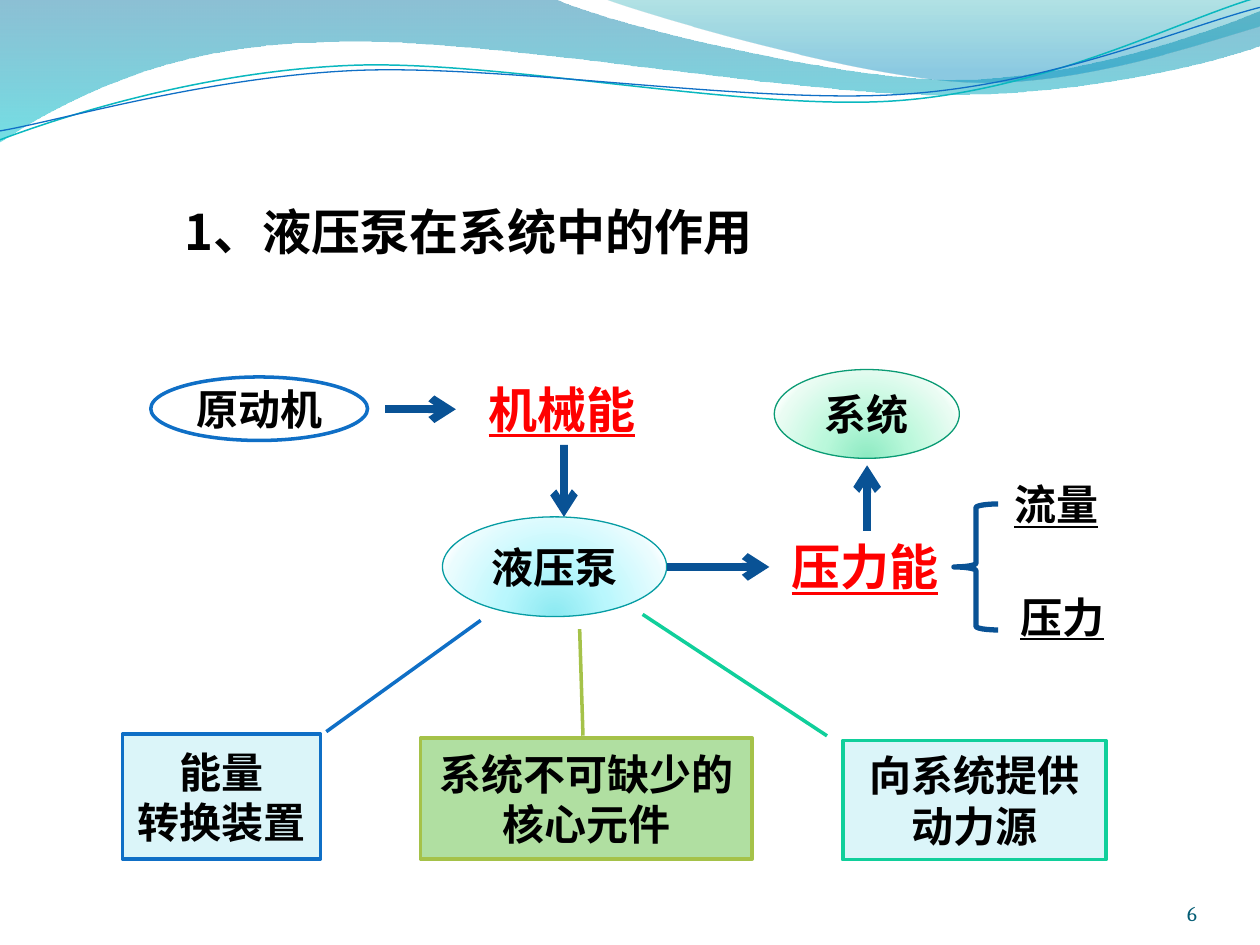
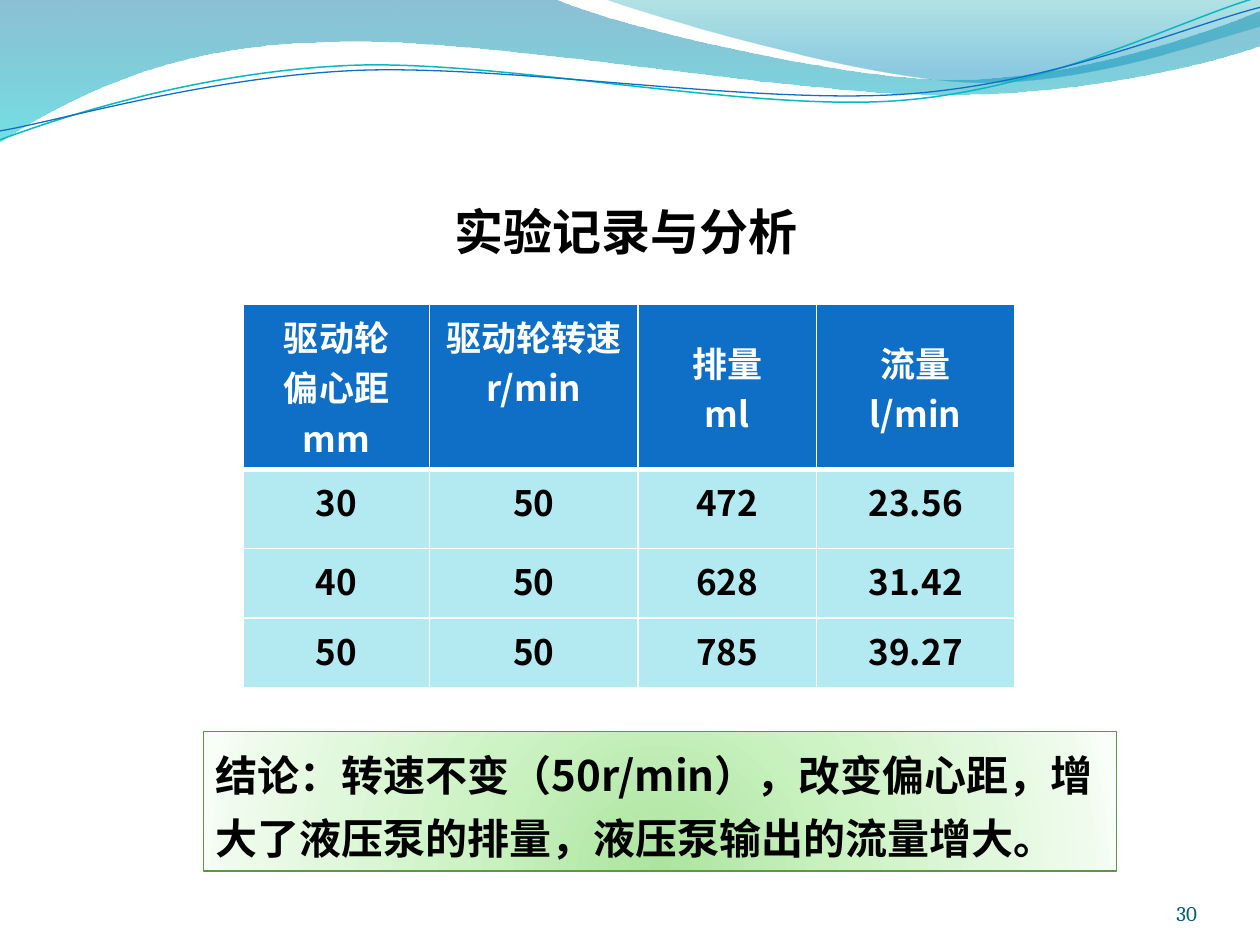
from lxml.etree import SubElement
from pptx import Presentation
from pptx.dml.color import RGBColor
from pptx.enum.shapes import MSO_CONNECTOR as Link, MSO_SHAPE as Form
from pptx.enum.text import MSO_ANCHOR as Anchor, MSO_AUTO_SIZE as AutoSize, PP_ALIGN as Align
from pptx.oxml import parse_xml
from pptx.oxml.ns import nsdecls, qn
from pptx.util import Cm, Pt

COLORS = {
    "black": "000000", "white": "FFFFFF", "red": "FF0000", "blue": "0F6FC6",
    "navy": "095295", "teal": "0AB8BF", "number": "045D75", "ice": "DBF5F9",
    "leaf": "B0DFA1", "lime": "A5C249", "mint": "10CF9B", "row": "B3EAF2",
    "aqua_line": "069CA3", "jade_line": "0A9B74", "grass_line": "5B9747",
}
GLOW_STOPS = {
    "aqua": ["8BE9F1", "B9F7FD", "EAFCFE", "F8FEFF"],
    "jade": ["8DEAC2", "BAF8DB", "EAFCF3", "F7FFFB"],
    "grass": ["ACE49F", "CDF3C4", "EFFBED", "F9FFF8"],
}
CJK = "Noto Sans CJK SC"
LATIN = "Cambria"

BROAD_WAVE = [
    [(-0.02, -0.02)], [(11.18, -0.02)],
    [(12.09, 0.43), (16.87, 1.6), (19.25, 1.6)],
    [(21.67, 1.6), (24.33, 0.66), (25.4, 0.23)],
    [(25.43, 0.91)],
    [(24.97, 1.12), (22.1, 1.93), (18.95, 1.91)],
    [(15.8, 1.91), (9.7, 0.71), (6.53, 0.86)],
    [(3.28, 0.89), (1.17, 2.11), (-0.02, 2.87)],
]
RIGHT_WAVE = [
    [(12.17, -0.02)],
    [(12.93, 0.28), (17.32, 1.57), (19.53, 1.65)],
    [(21.74, 1.75), (24.41, 0.81), (25.4, 0.53)],
    [(25.4, 0)],
]
TEAL_CURVE = [
    [(0, 2.82)],
    [(1.22, 2.36), (4.01, 1.45), (7.04, 1.32)],
    [(10.03, 1.19), (15.06, 2.26), (18.11, 2.03)],
    [(21.16, 1.8), (23.83, 0.38), (25.35, -0.05)],
]
BLUE_CURVE = [
    [(0, 2.64)],
    [(1.19, 2.44), (4.17, 1.55), (7.19, 1.42)],
    [(10.24, 1.3), (15.16, 2.11), (18.21, 1.9)],
    [(21.23, 1.7), (23.9, 0.53), (25.4, 0.15)],
]


def rgb(name):
    return RGBColor.from_string(COLORS[name])


def lengths(*values):
    return [Cm(value) for value in values]


def style_para(para, size, color="black", font=CJK, bold=True, underline=False, align=Align.LEFT):
    para.alignment = align
    for span in para.runs:
        span.font.size = Pt(size)
        span.font.bold = bold
        span.font.underline = underline
        span.font.color.rgb = rgb(color)
        span.font.name = font
        SubElement(span._r.get_or_add_rPr(), qn("a:ea")).set("typeface", font)


def write(frame, text, size, wrap=True, **style):
    frame.text = text
    frame.word_wrap = wrap
    for para in frame.paragraphs:
        style_para(para, size, **style)


def add_label(page, left, top, width, height, text, size, wrap=False, **style):
    box = page.shapes.add_textbox(*lengths(left, top, width, height))
    write(box.text_frame, text, size, wrap, **style)
    return box


def add_form(page, form, area, line, width, fill=None):
    shape = page.shapes.add_shape(form, *lengths(*area))
    shape.shadow.inherit = False
    shape.line.color.rgb = rgb(line)
    shape.line.width = Pt(width)
    if fill:
        shape.fill.solid()
        shape.fill.fore_color.rgb = rgb(fill)
    else:
        shape.fill.background()
    return shape


def set_gradient(shape, stops, direction):
    marks = "".join(
        f'<a:gs pos="{place * 1000}"><a:srgbClr val="{color}">'
        f'<a:alpha val="{opacity * 1000}"/></a:srgbClr></a:gs>'
        for place, color, opacity in stops)
    shape.fill.background()
    old_fill = shape._element.spPr.find(qn("a:noFill"))
    old_fill.getparent().replace(old_fill, parse_xml(
        f'<a:gradFill {nsdecls("a")} rotWithShape="1"><a:gsLst>{marks}</a:gsLst>'
        f'{direction}</a:gradFill>'))


def add_glow(page, form, area, tone):
    shape = add_form(page, form, area, f"{tone}_line", 0.75)
    stops = zip((0, 43, 93, 100), GLOW_STOPS[tone], [100] * 4)
    set_gradient(shape, stops, '<a:path path="circle"><a:fillToRect l="50000" '
                               't="130000" r="50000" b="-30000"/></a:path>')
    return shape


def center_text(shape, text, wrap=True):
    shape.text_frame.vertical_anchor = Anchor.MIDDLE
    write(shape.text_frame, text, 24, wrap, align=Align.CENTER)


def add_callout(page, area, text, fill, line, pointer):
    callout = add_form(page, Form.LINE_CALLOUT_1, area, line, 2, fill)
    for index, value in enumerate(pointer):
        callout.adjustments[index] = value
    center_text(callout, text)


def add_arrow(page, start, end, source=None, side=0, link=Link.STRAIGHT):
    arrow = page.shapes.add_connector(link, *lengths(*start, *end))
    if source:
        arrow.begin_connect(source, side)
    arrow.line.color.rgb = rgb("navy")
    arrow.line.width = Pt(4.5)
    SubElement(arrow.line._get_or_add_ln(), qn("a:tailEnd")).set("type", "arrow")
    SubElement(arrow._element.spPr, qn("a:effectLst"))


def bend_segments(shape, steps):
    segments = iter(shape._element.findall(".//" + qn("a:lnTo")))
    for step in steps[1:]:
        group = [next(segments) for _ in step]
        if len(group) == 3:
            bend = parse_xml(f'<a:cubicBezTo {nsdecls("a")}/>')
            group[0].addprevious(bend)
            for segment in group:
                bend.append(segment[0])
                segment.getparent().remove(segment)


def add_outline(page, steps, close):
    points = [lengths(x, y) for step in steps for x, y in step]
    builder = page.shapes.build_freeform(*points[0])
    builder.add_line_segments(points[1:], close=close)
    shape = builder.convert_to_shape()
    bend_segments(shape, steps)
    shape.shadow.inherit = False
    shape.fill.background()
    return shape


def add_wave(page, steps, stops):
    wave = add_outline(page, steps, True)
    wave.line.fill.background()
    set_gradient(wave, stops, '<a:lin ang="5400000" scaled="0"/>')


def add_curve(page, steps, color, width):
    curve = add_outline(page, steps, False)
    curve.line.color.rgb = rgb(color)
    curve.line.width = Pt(width)


def add_page(deck, number):
    page = deck.slides.add_slide(deck.slide_layouts[6])
    add_wave(page, BROAD_WAVE, [(0, "0074A1", 45), (100, "00C6CF", 55)])
    add_wave(page, RIGHT_WAVE, [(0, "00A1A9", 30), (80, "008BBF", 45)])
    add_curve(page, TEAL_CURVE, "teal", 0.85)
    add_curve(page, BLUE_CURVE, "blue", 0.75)
    box = add_label(page, 22.02, 17.65, 2.11, 1.02, str(number), 12, True, color="number",
                    font=LATIN, bold=False, align=Align.RIGHT)
    frame = box.text_frame
    frame.margin_left = frame.margin_right = frame.margin_top = frame.margin_bottom = 0
    frame.vertical_anchor = Anchor.BOTTOM
    return page


def add_title(page, left, width, text, wrap=False):
    add_label(page, left, 3.93, width, 1.45, text, 28, wrap)


def set_borders(cell, bottom):
    properties = cell._tc.get_or_add_tcPr()
    for index, (edge, width) in enumerate((("L", 1), ("R", 1), ("T", 1), ("B", bottom))):
        properties.insert(index, parse_xml(
            f'<a:ln{edge} {nsdecls("a")} w="{Pt(width)}"><a:solidFill>'
            f'<a:srgbClr val="{COLORS["white"]}"/></a:solidFill></a:ln{edge}>'))


def add_grid(page, left, top, widths, heights, rows):
    area = lengths(left, top, sum(widths), sum(heights))
    table = page.shapes.add_table(len(rows), len(widths), *area).table
    for column, width in zip(table.columns, widths):
        column.width = Cm(width)
    for index, (row, height, texts) in enumerate(zip(table.rows, heights, rows)):
        row.height = Cm(height)
        header = index == 0
        for cell, text in zip(row.cells, texts):
            cell.fill.solid()
            cell.fill.fore_color.rgb = rgb("blue" if header else "row")
            set_borders(cell, 3 if header else 1)
            write(cell.text_frame, text, 20, color="white" if header else "black",
                  align=Align.CENTER)
    return table


def build_pump_role(deck):
    page = add_page(deck, 6)
    add_title(page, 3.48, 12.04, "1、液压泵在系统中的作用", True)

    motor = add_form(page, Form.OVAL, (3.04, 7.6, 4.37, 1.28), "blue", 2, "white")
    center_text(motor, "原动机", False)
    pump = add_glow(page, Form.OVAL, (8.92, 10.42, 4.52, 2.01), "aqua")
    center_text(pump, "液压泵", False)
    system = add_glow(page, Form.OVAL, (15.61, 7.45, 3.73, 1.79), "jade")
    center_text(system, "系统", False)

    mechanical, pressure = [
        add_label(page, left, top, 3.54, 1.45, text, 28, color="red", underline=True)
        for left, top, text in ((9.6, 7.52, "机械能"), (15.71, 10.7, "压力能"))]
    add_form(page, Form.LEFT_BRACE, (19.23, 10.16, 0.89, 2.54), "navy", 3)
    for left, top, text in ((20.2, 9.53, "流量"), (20.32, 11.79, "压力")):
        add_label(page, left, top, 2.24, 1.27, text, 24, underline=True)

    add_callout(page, (2.47, 14.8, 3.99, 2.52), "能量\n转换装置", "ice", "blue",
                (-0.02, 1.03, -0.91, 1.81))
    add_callout(page, (8.48, 14.88, 6.68, 2.44), "系统不可缺少的核心元件", "leaf", "lime",
                (-0.02, 0.49, -0.9, 0.48))
    add_callout(page, (16.99, 14.93, 5.31, 2.4), "向系统提供动力源", "ice", "mint",
                (-0.04, -0.06, -1.06, -0.76))

    add_arrow(page, (7.77, 8.25), (9.19, 8.25))
    add_arrow(page, (11.37, 8.97), (11.37, 10.42), mechanical, 2)
    add_arrow(page, (13.44, 11.43), (15.51, 11.43), link=Link.ELBOW)
    add_arrow(page, (17.48, 10.7), (17.48, 9.38), pressure, 0)


def build_experiment(deck):
    page = add_page(deck, 30)
    add_title(page, 8.92, 7.52, "实验记录与分析")
    table = add_grid(page, 4.91, 6.13, (3.75, 4.2, 3.6, 4), (3.33, 1.6, 1.4, 1.4), [
        ("驱动轮\n偏心距\nmm", "驱动轮转速\nr/min", "排量\nml", "流量\nl/min"),
        ("30", "50", "472", "23.56"),
        ("40", "50", "628", "31.42"),
        ("50", "50", "785", "39.27"),
    ])
    for column in (2, 3):
        table.cell(0, column).margin_top = Cm(0.65)

    conclusion = add_glow(page, Form.RECTANGLE, (4.1, 14.74, 18.41, 2.82), "grass")
    frame = conclusion.text_frame
    frame.vertical_anchor = Anchor.TOP
    write(frame, "结论：转速不变（50r/min），改变偏心距，增大了液压泵的排量，液压泵输出的流量增大。", 24)
    frame.paragraphs[0].line_spacing = 1.25
    frame.auto_size = AutoSize.SHAPE_TO_FIT_TEXT


def main():
    deck = Presentation()
    deck.slide_width, deck.slide_height = lengths(25.4, 19.05)
    build_pump_role(deck)
    build_experiment(deck)
    deck.save("out.pptx")


if __name__ == "__main__":
    main()
